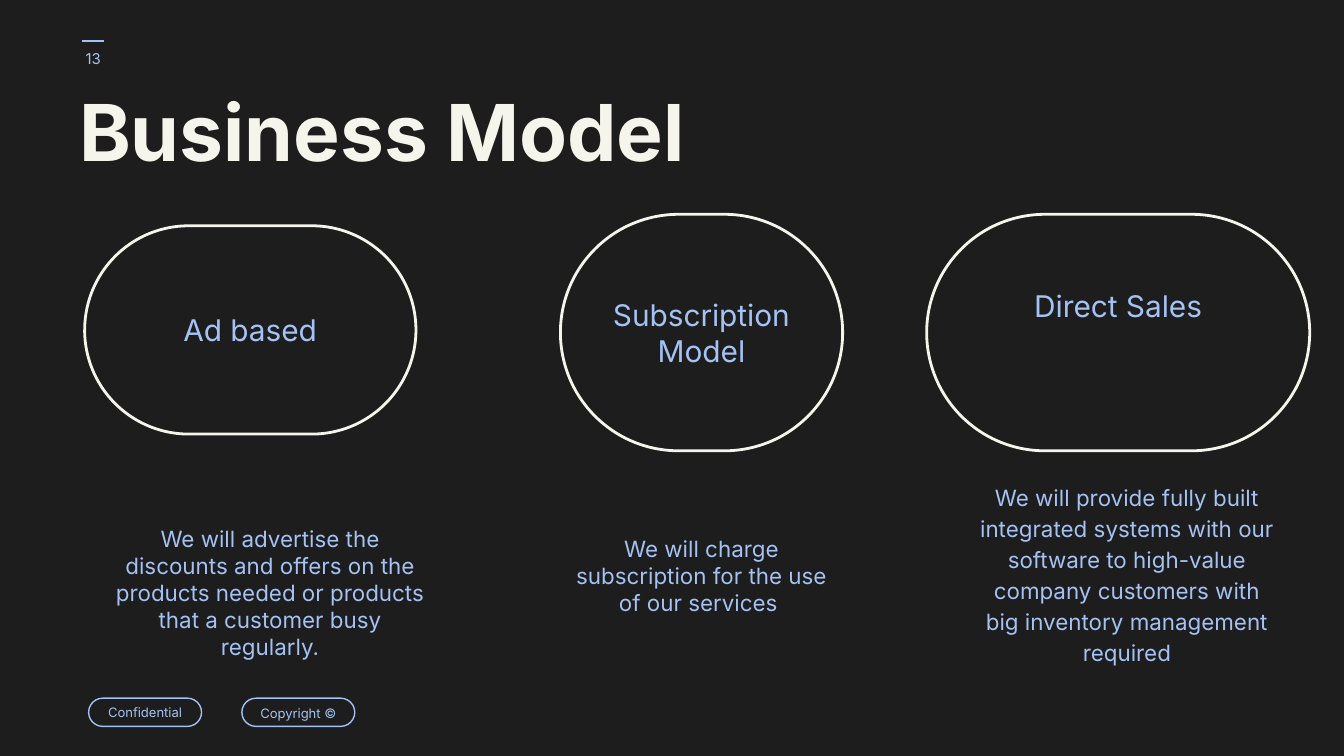
from dataclasses import dataclass

from pptx import Presentation
from pptx.dml.color import RGBColor
from pptx.enum.shapes import MSO_CONNECTOR as Connector, MSO_SHAPE as Shape
from pptx.enum.text import MSO_ANCHOR as Anchor, PP_ALIGN as Align
from pptx.oxml.ns import qn
from pptx.util import Pt
from lxml.etree import SubElement

PX = 4572  # EMU, 200 px to the inch
INSET = 20


@dataclass(frozen=True)
class Theme:
    font: str = "Inter"
    background: RGBColor = RGBColor.from_string("1D1D1D")
    cream: RGBColor = RGBColor.from_string("F6F5EC")
    blue: RGBColor = RGBColor.from_string("A4C2F4")
    title: int = 42
    heading: int = 16
    body: int = 12
    number: int = 8
    label: int = 7
    thick: float = 1.5
    thin: float = 0.75


THEME = Theme()

# Boxes are (left, top, width, height) in px.
PAGE = (2000, 1125)
TITLE = ("Business Model", (98, 131, 1480, 182))
NUMBER = ("13", (92, 44, 94, 86))
NUMBER_RULE = (122, 155, 61)  # left, right, y

MODELS = [
    {"heading": "Ad based", "pill": (126, 336, 493, 310), "lift": 0,
     "body": "We will advertise the discounts and offers on the products "
             "needed or products that a customer busy regularly.",
     "body_box": (146, 762, 512, 242), "spacing": 1.0},
    {"heading": "Subscription Model", "pill": (834, 319, 420, 352), "lift": 0,
     "body": "We will charge subscription for the use of our services ",
     "body_box": (834, 777, 420, 212), "spacing": 1.0},
    {"heading": "Direct Sales", "pill": (1379, 319, 570, 352), "lift": 40,
     "body": "We will provide fully built integrated systems with our software "
             "to high-value company customers with big inventory management "
             "required",
     "body_box": (1432, 695, 490, 260), "spacing": 1.15},
]

LABELS = [("Confidential", 1.0), ("Copyright ©", 1.15)]
LABEL_BOX = (132, 1039, 168, 42)
LABEL_STEP = 228


def emu(lengths):
    return [length * PX for length in lengths]


def write(holder, text, size, color=THEME.blue, bold=False, align=Align.CENTER,
          anchor=Anchor.MIDDLE, spacing=1.0, lift=0):
    """Fill a shape with one paragraph, raised by lift px when centred."""
    frame = holder.text_frame
    frame_format = {
        "word_wrap": True, "vertical_anchor": anchor,
        "margin_left": INSET * PX, "margin_right": INSET * PX,
        "margin_top": INSET * PX, "margin_bottom": (INSET + 2 * lift) * PX,
    }
    for name, value in frame_format.items():
        setattr(frame, name, value)
    paragraph = frame.paragraphs[0]
    paragraph.alignment, paragraph.line_spacing = align, spacing
    run = paragraph.add_run()
    run.text = text
    font_format = {"name": THEME.font, "size": Pt(size), "bold": bold}
    for name, value in font_format.items():
        setattr(run.font, name, value)
    run.font.color.rgb = color


def add_text(slide, text, box, size, **style):
    write(slide.shapes.add_textbox(*emu(box)), text, size, **style)


def add_pill(slide, text, box, size, outline, weight, **style):
    pill = slide.shapes.add_shape(Shape.ROUNDED_RECTANGLE, *emu(box))
    pill.adjustments[0] = 0.5
    pill.shadow.inherit = False
    pill.fill.background()
    pill.line.color.rgb = outline
    pill.line.width = Pt(weight)
    write(pill, text, size, **style)


def add_number(slide):
    add_text(slide, *NUMBER, THEME.number)
    left, right, y = NUMBER_RULE
    rule = slide.shapes.add_connector(Connector.STRAIGHT, *emu((right, y, left, y)))
    rule.line.color.rgb = THEME.blue
    rule.line.width = Pt(THEME.thin)
    SubElement(rule.element.find(qn("p:spPr")), qn("a:effectLst"))


def main():
    deck = Presentation()
    deck.slide_width, deck.slide_height = emu(PAGE)
    slide = deck.slides.add_slide(deck.slide_layouts[6])
    slide.background.fill.solid()
    slide.background.fill.fore_color.rgb = THEME.background

    add_number(slide)
    left, top, width, height = LABEL_BOX
    for index, (label, spacing) in enumerate(LABELS):
        box = (left + index * LABEL_STEP, top, width, height)
        add_pill(slide, label, box, THEME.label, THEME.blue, THEME.thin,
                 spacing=spacing)

    add_text(slide, *TITLE, THEME.title, color=THEME.cream, bold=True,
             align=Align.LEFT, anchor=Anchor.TOP, spacing=0.8)
    for model in MODELS:
        add_text(slide, model["body"], model["body_box"], THEME.body,
                 anchor=Anchor.TOP, spacing=model["spacing"])
        add_pill(slide, model["heading"], model["pill"], THEME.heading,
                 THEME.cream, THEME.thick, lift=model["lift"])

    deck.save("out.pptx")


if __name__ == "__main__":
    main()
